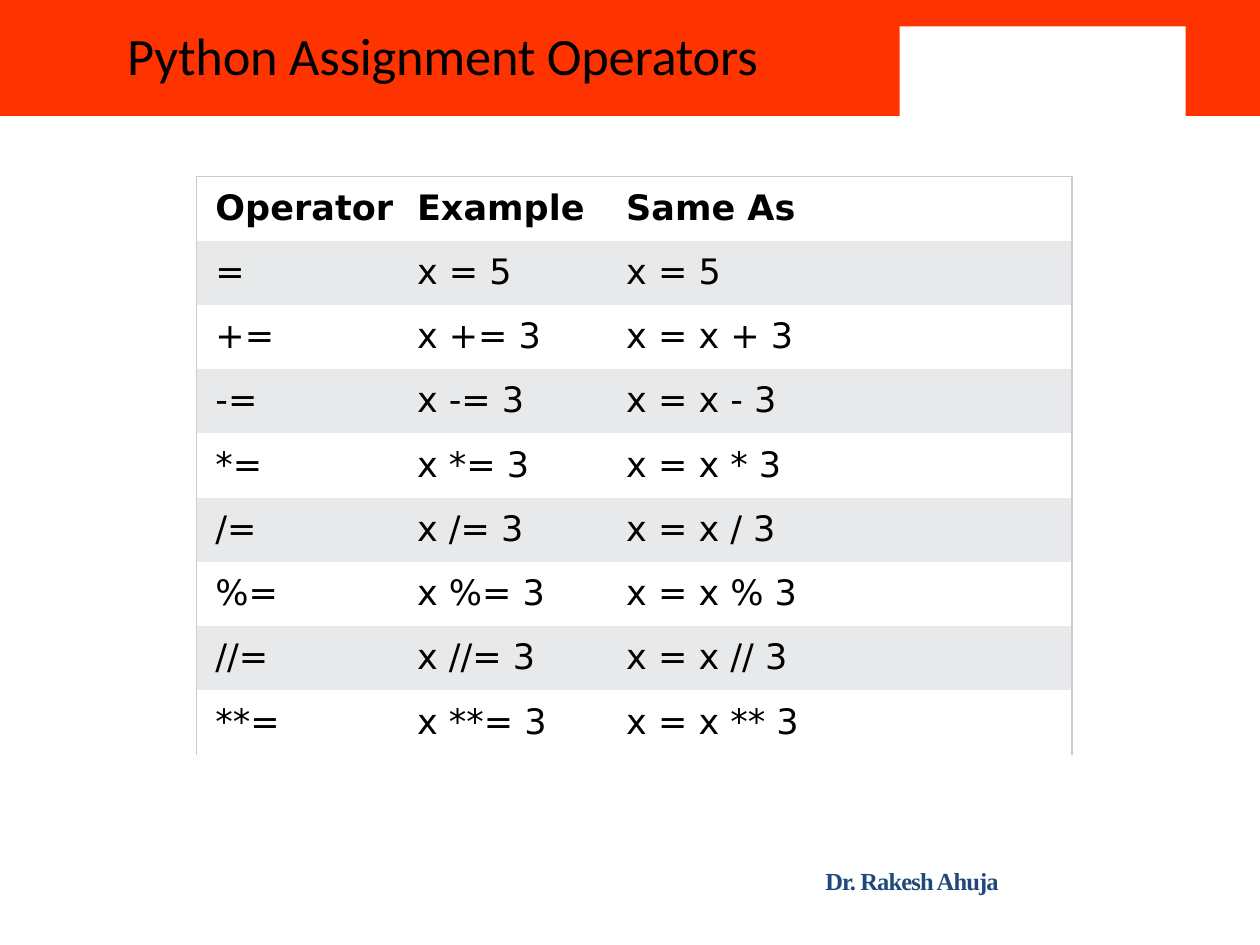
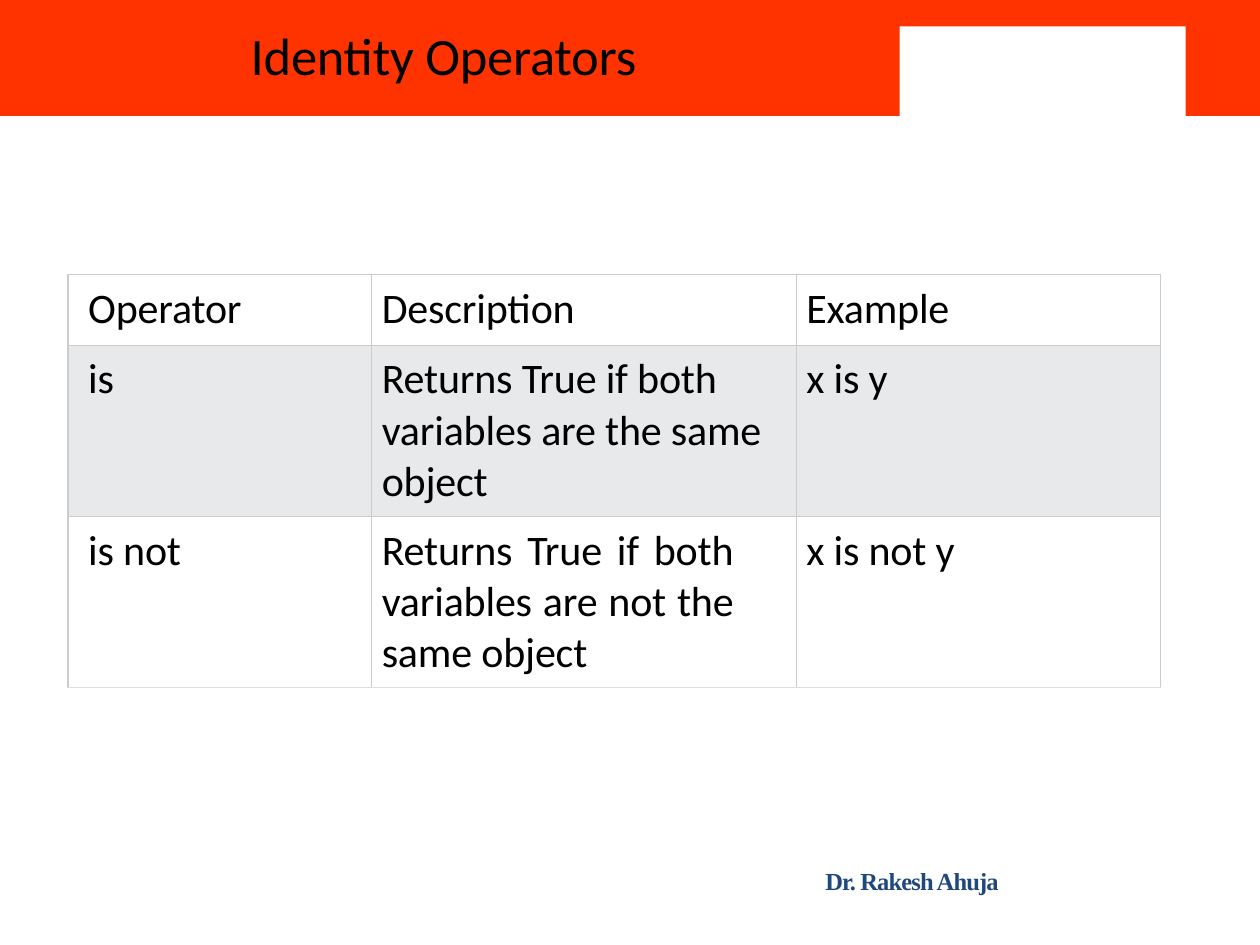
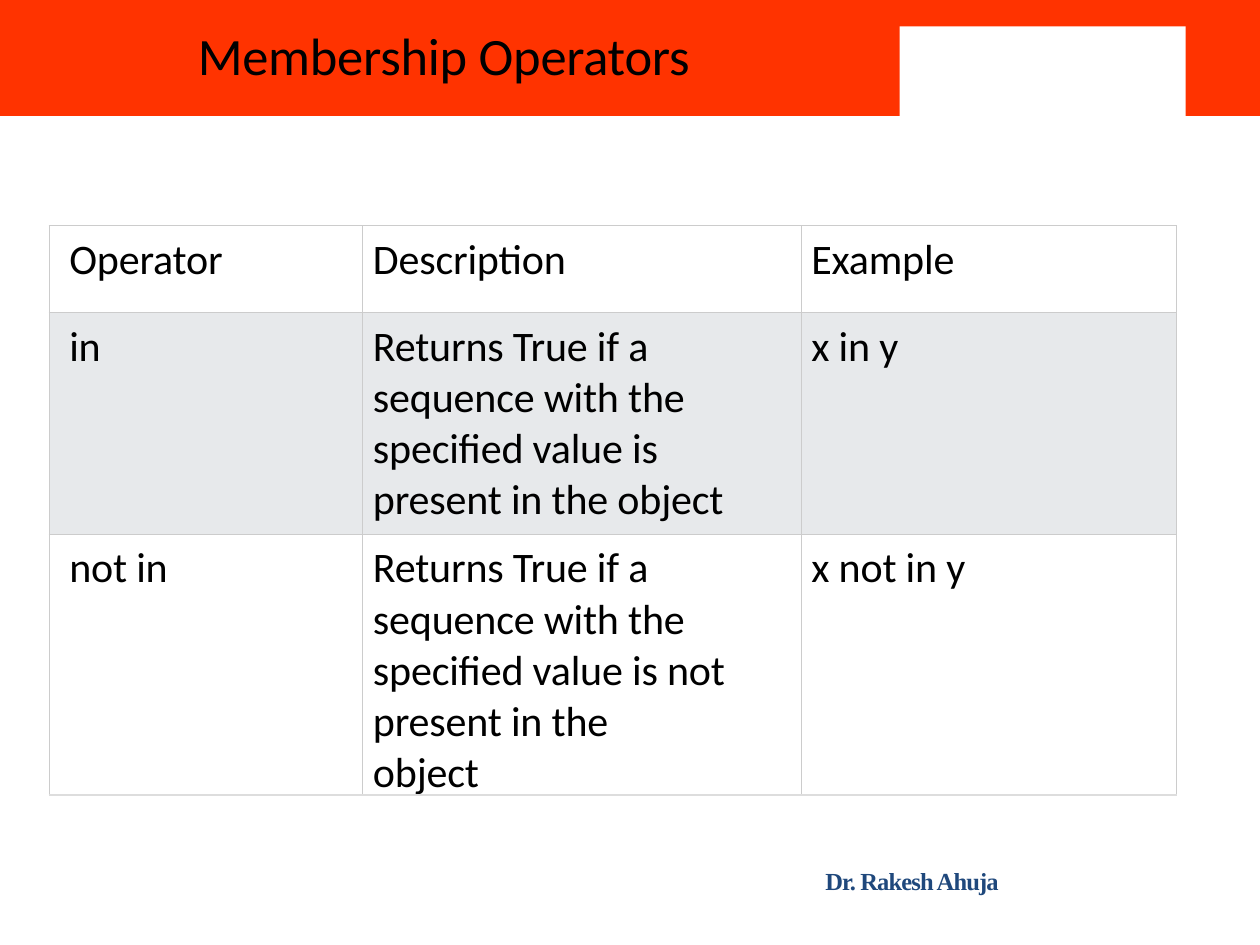
from typing import NamedTuple

from lxml.etree import SubElement
from pptx import Presentation
from pptx.dml.color import RGBColor
from pptx.enum.shapes import MSO_SHAPE
from pptx.enum.text import MSO_ANCHOR, MSO_AUTO_SIZE, PP_ALIGN
from pptx.oxml.ns import qn
from pptx.util import Inches, Pt

ORANGE = RGBColor(0xFF, 0x33, 0x00)
WHITE = RGBColor(0xFF, 0xFF, 0xFF)
BLACK = RGBColor(0, 0, 0)
NAVY = RGBColor(0x1F, 0x48, 0x7C)
STRIPE = RGBColor(0xE7, 0xE9, 0xEB)
RULE = RGBColor(0xCC, 0xCC, 0xCC)
PALE = RGBColor(0xDD, 0xDD, 0xDD)
AUTHOR = "Dr. Rakesh Ahuja"


class Box(NamedTuple):
    left: float
    top: float
    width: float
    height: float

    def lengths(self) -> list:
        return [Inches(side) for side in self]


class Band(NamedTuple):
    box: Box
    color: RGBColor


class Style(NamedTuple):
    font: str
    size: int
    color: RGBColor = BLACK
    bold: bool = False
    track: float = 0


class Grid(NamedTuple):
    left: float
    top: float
    cols: tuple
    heights: tuple
    indents: tuple
    inset: float
    before: float
    style: Style
    rows: list
    ruled: bool = True
    bold: bool = False
    rights: tuple = ()
    justify: tuple = ()


class Page(NamedTuple):
    title: str
    box: Box
    grid: Grid


BANDS = [
    Band(Box(0, 0, 10, 0.92), ORANGE),
    Band(Box(6.72, 0, 3.28, 0.92), ORANGE),
    Band(Box(7.14, 0.21, 2.27, 0.75), WHITE),
]
HEAD = Style("Calibri", 30, track=-0.15)
FOOT = Style("Times New Roman", 14, NAVY, True, -0.5)
CODE = Style("DejaVu Sans", 20)
PROSE = Style("Calibri", 24, track=-0.1)
FOOT_BOX = Box(6.54, 6.88, 2.04, 0.24)

SIGNS = ["+", "-", "*", "/", "%", "//", "**"]
ASSIGN = [("Operator", "Example", "Same As"), ("=", "x = 5", "x = 5")]
ASSIGN += [(f"{sign}=", f"x {sign}= 3", f"x = x {sign} 3") for sign in SIGNS]

HEADER = ("Operator", "Description", "Example")
IDENTITY = [
    HEADER,
    ("is", "Returns True if both variables are the same object", "x is y"),
    ("is not", "Returns True if both variables are not the same object",
     "x is not y"),
]
MEMBER = [
    HEADER,
    ("in", "Returns True if a sequence with the specified value is "
     "present in the object", "x in y"),
    ("not in", "Returns True if a sequence with the specified value is not "
     "present in the\vobject", "x not in y"),
]

PAGES = [
    Page("Python Assignment Operators", Box(1, 0.17, 5.09, 0.53),
         Grid(1.56, 1.4, (1.65, 1.6, 3.7), (0.51,) * 9, (0.15, 0.1, 0.16),
              0.09, 6.2, CODE, ASSIGN, ruled=False, bold=True)),
    Page("Identity Operators", Box(1.98, 0.17, 3.12, 0.53),
         Grid(0.54, 2.18, (2.41, 3.37, 2.89), (0.56, 1.36, 1.36),
              (0.16, 0.08, 0.08), 0.07, 4.8, PROSE, IDENTITY,
              rights=(0, 0.2, 0.5), justify=(2,))),
    Page("Membership Operators", Box(1.56, 0.17, 3.97, 0.53),
         Grid(0.39, 1.79, (2.49, 3.48, 2.98), (0.69, 1.76, 1.76),
              (0.16, 0.08, 0.08), 0.07, 4.8, PROSE, MEMBER,
              rights=(0, 0.5, 0.5))),
]


def write(frame, text: str, style: Style, indent: float, right: float = 0):
    frame.text = text
    para = frame.paragraphs[0]
    para.alignment = PP_ALIGN.LEFT
    props = para._p.get_or_add_pPr()
    props.set("marL", str(Inches(indent)))
    props.set("marR", str(Inches(right)))
    props.set("indent", "0")
    for run in para.runs:
        font = run.font
        font.name = style.font
        font.size = Pt(style.size)
        font.bold = style.bold
        font.color.rgb = style.color
        run._r.get_or_add_rPr().set("spc", str(round(style.track * 100)))
    return para


def fit(frame, top: float) -> None:
    frame.margin_left = frame.margin_right = frame.margin_bottom = 0
    frame.margin_top = Inches(top)
    frame.vertical_anchor = MSO_ANCHOR.TOP
    frame.word_wrap = True
    frame.auto_size = MSO_AUTO_SIZE.SHAPE_TO_FIT_TEXT


def place(shape, box: Box) -> None:
    shape.left, shape.top, shape.width, shape.height = box.lengths()


def add_bands(slide) -> None:
    anchor = slide.slide_layout.placeholders[0]._element
    for number, band in enumerate(BANDS, 11):
        shape = slide.shapes.add_shape(MSO_SHAPE.RECTANGLE, *band.box.lengths())
        shape.shadow.inherit = False
        shape.fill.solid()
        shape.fill.fore_color.rgb = band.color
        shape.line.fill.background()
        shape._element.nvSpPr.cNvPr.set("id", str(number))
        anchor.addprevious(shape._element)


def edge(cell, side: str, color: RGBColor | None, width: float) -> None:
    props = cell._tc.get_or_add_tcPr()
    line = SubElement(props, qn(f"a:ln{side}"), w=str(Pt(width)))
    if color is None:
        SubElement(line, qn("a:noFill"))
    else:
        fill = SubElement(line, qn("a:solidFill"))
        SubElement(fill, qn("a:srgbClr"), val=str(color))


def frame_cell(cell, grid: Grid, row: int, col: int) -> None:
    last = row == len(grid.rows) - 1
    if grid.ruled:
        colors = {"L": RULE, "R": RULE, "T": RULE, "B": PALE if last else RULE}
    else:
        colors = {
            "L": RULE if col == 0 else None,
            "R": RULE if col == len(grid.cols) - 1 else None,
            "T": RULE if row == 0 else None,
            "B": None,
        }
    for side, color in colors.items():
        edge(cell, side, color, 0.75 if grid.ruled else 1)


def add_grid(slide, grid: Grid) -> None:
    box = Box(grid.left, grid.top, sum(grid.cols), sum(grid.heights))
    table = slide.shapes.add_table(
        len(grid.rows), len(grid.cols), *box.lengths()).table
    table.first_row = table.horz_banding = False
    for column, width in zip(table.columns, grid.cols):
        column.width = Inches(width)
    for line, height in zip(table.rows, grid.heights):
        line.height = Inches(height)
    for row, texts in enumerate(grid.rows):
        style = grid.style._replace(bold=grid.bold and row == 0)
        for col, text in enumerate(texts):
            cell = table.cell(row, col)
            cell.margin_left = cell.margin_right = cell.margin_bottom = 0
            cell.margin_top = Inches(grid.inset)
            middle = col == 1
            right = grid.rights[row] if middle and grid.rights else 0
            para = write(cell.text_frame, text, style, grid.indents[col], right)
            para.space_before = Pt(grid.before)
            if middle and row in grid.justify:
                para.alignment = PP_ALIGN.JUSTIFY
            frame_cell(cell, grid, row, col)
            if row % 2:
                cell.fill.solid()
                cell.fill.fore_color.rgb = STRIPE
            else:
                cell.fill.background()


def add_page(deck, page: Page):
    slide = deck.slides.add_slide(deck.slide_layouts[5])
    title = slide.shapes.title
    place(title, page.box)
    fit(title.text_frame, 0.01)
    write(title.text_frame, page.title, HEAD, 0.01).space_before = Pt(1)
    foot = slide.shapes.add_textbox(*FOOT_BOX.lengths())
    fit(foot.text_frame, 0)
    write(foot.text_frame, AUTHOR, FOOT, 0.01).line_spacing = Pt(16.4)
    add_grid(slide, page.grid)
    return slide


def main() -> None:
    deck = Presentation()
    deck.slide_width = Inches(10)
    deck.slide_height = Inches(7.5)
    slides = [add_page(deck, page) for page in PAGES]
    add_bands(slides[0])
    deck.save("out.pptx")


if __name__ == "__main__":
    main()
